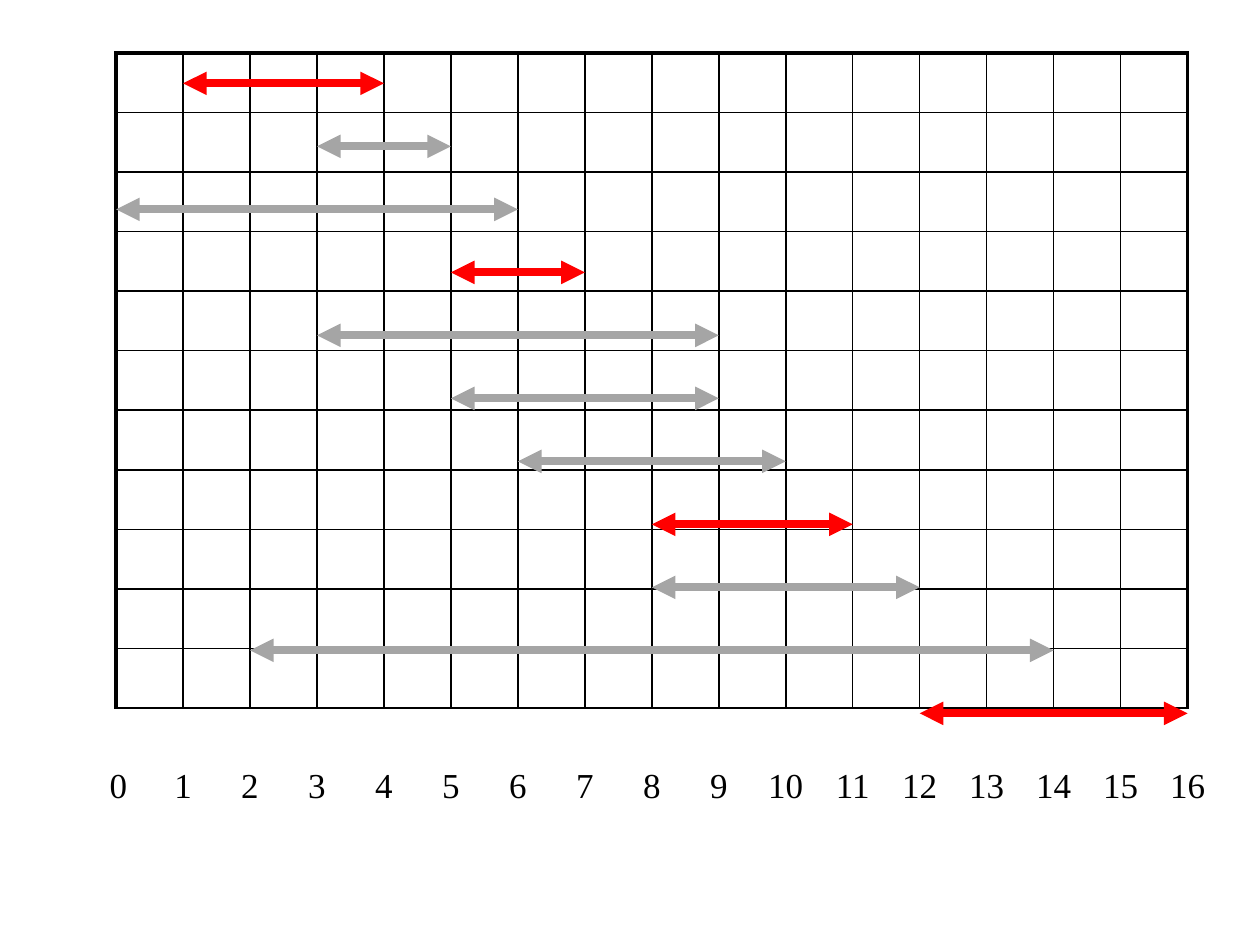
"""Build a slide that charts activity intervals on a time grid."""
from lxml.etree import SubElement
from pptx import Presentation
from pptx.dml.color import RGBColor
from pptx.enum.shapes import MSO_CONNECTOR as Connector
from pptx.oxml.ns import qn
from pptx.util import Cm, Pt

BLACK = RGBColor(0x00, 0x00, 0x00)
RED = RGBColor(0xFF, 0x00, 0x00)
GREY = RGBColor(0xA5, 0xA5, 0xA5)

GRID_LEFT, GRID_TOP = 2.34, 1.07
COLUMN_WIDTH, ROW_HEIGHT = 1.35, 1.2
COLUMNS, ROWS = 16, 11
FIRST_ARROW, ARROW_STEP = 1.68, 1.27
LABEL_LEFT, LABEL_INSET = 1.96, 0.25

INTERVALS = [
    (1, 4, RED), (3, 5, GREY), (0, 6, GREY), (5, 7, RED),
    (3, 9, GREY), (5, 9, GREY), (6, 10, GREY), (8, 11, RED),
    (8, 12, GREY), (2, 14, GREY), (12, 16, RED),
]


def add_border(cell, side, width):
    properties = cell._tc.get_or_add_tcPr()
    line = SubElement(properties, qn(f"a:ln{side}"), w=str(Pt(width)))
    fill = SubElement(line, qn("a:solidFill"))
    SubElement(fill, qn("a:srgbClr"), val=str(BLACK))


presentation = Presentation()
presentation.slide_width = Cm(25.4)
presentation.slide_height = Cm(19.05)
slide = presentation.slides.add_slide(presentation.slide_layouts[6])

table = slide.shapes.add_table(
    ROWS, COLUMNS, Cm(GRID_LEFT), Cm(GRID_TOP),
    Cm(COLUMNS * COLUMN_WIDTH), Cm(ROWS * ROW_HEIGHT),
).table
table.first_row = False
table.horz_banding = False
for column in table.columns:
    column.width = Cm(COLUMN_WIDTH)
for row_index, row in enumerate(table.rows):
    row.height = Cm(ROW_HEIGHT)
    for column_index, cell in enumerate(row.cells):
        outer_sides = {
            "L": column_index == 0,
            "R": column_index == COLUMNS - 1,
            "T": row_index == 0,
            "B": False,
        }
        for side, is_outer in outer_sides.items():
            add_border(cell, side, 2.25 if is_outer else 1)
        cell.fill.background()

for index, (start, finish, color) in enumerate(INTERVALS):
    height = Cm(FIRST_ARROW + index * ARROW_STEP)
    arrow = slide.shapes.add_connector(
        Connector.STRAIGHT,
        Cm(GRID_LEFT + start * COLUMN_WIDTH), height,
        Cm(GRID_LEFT + finish * COLUMN_WIDTH), height,
    )
    arrow.line.color.rgb = color
    arrow.line.width = Pt(4.5)
    line = arrow.line._get_or_add_ln()
    for end in ("a:headEnd", "a:tailEnd"):
        SubElement(line, qn(end), type="triangle")
    SubElement(arrow._element.spPr, qn("a:effectLst"))

labels = slide.shapes.add_textbox(Cm(LABEL_LEFT), Cm(15.27), Cm(22.73), Cm(1.11))
text_frame = labels.text_frame
text_frame.word_wrap = True
text_frame.margin_left = Cm(LABEL_INSET)
text_frame.text = "\t".join(str(hour) for hour in range(COLUMNS + 1))
paragraph = text_frame.paragraphs[0]
tab_list = SubElement(paragraph._p.get_or_add_pPr(), qn("a:tabLst"))
for hour in range(1, COLUMNS + 1):
    position = Cm(GRID_LEFT + hour * COLUMN_WIDTH - LABEL_LEFT - LABEL_INSET)
    SubElement(tab_list, qn("a:tab"), pos=str(position), algn="ctr")
for run in paragraph.runs:
    run.font.name = "Times New Roman"
    run.font.size = Pt(20)
    run.font.color.rgb = BLACK

presentation.save("out.pptx")
